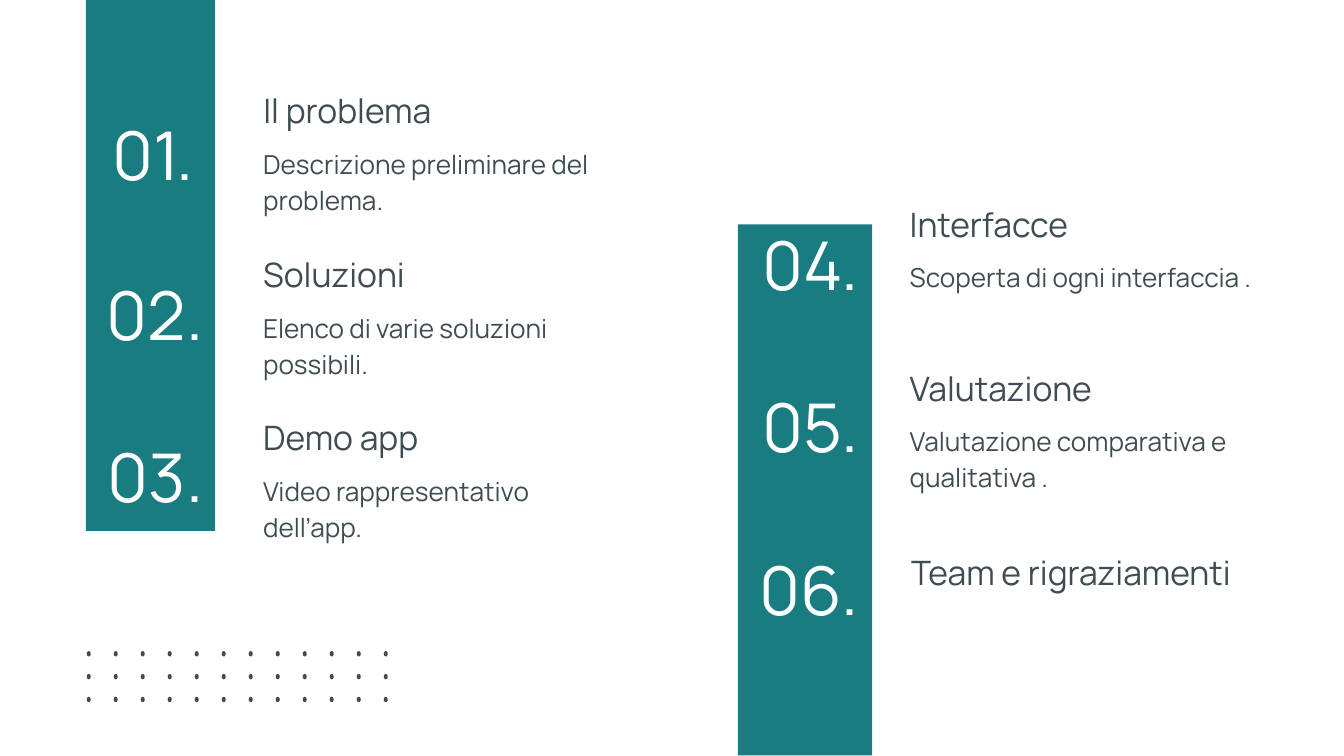
from pptx import Presentation
from pptx.dml.color import RGBColor
from pptx.enum.shapes import MSO_SHAPE
from pptx.enum.text import MSO_ANCHOR, MSO_AUTO_SIZE, PP_ALIGN
from pptx.util import Inches, Pt

TEAL = RGBColor(0x19, 0x7C, 0x81)
SLATE = RGBColor(0x3F, 0x4D, 0x53)
WHITE = RGBColor(0xFF, 0xFF, 0xFF)
FONT = "Manrope"

# Widescreen 16:9 slide
presentation = Presentation()
presentation.slide_width = Inches(10)
presentation.slide_height = Inches(10 * 9 / 16)
slide = presentation.slides.add_slide(presentation.slide_layouts[5])
shapes = slide.shapes


def add_filled(kind, left, top, width, height, color):
    shape = shapes.add_shape(kind, Inches(left), Inches(top), Inches(width), Inches(height))
    shape.shadow.inherit = False
    shape.fill.solid()
    shape.fill.fore_color.rgb = color
    shape.line.fill.background()
    return shape


def write_text(left, top, width, height, text, size, color,
               align=PP_ALIGN.LEFT, anchor=MSO_ANCHOR.TOP, shape=None):
    box = (Inches(left), Inches(top), Inches(width), Inches(height))
    if shape is None:
        shape = shapes.add_textbox(*box)
    else:
        shape.left, shape.top, shape.width, shape.height = box
    frame = shape.text_frame
    frame.word_wrap = True
    frame.auto_size = MSO_AUTO_SIZE.NONE
    frame.vertical_anchor = anchor
    frame.margin_left = frame.margin_right = Inches(0.1)
    frame.margin_top = frame.margin_bottom = Inches(0.1)
    frame.text = text
    paragraph = frame.paragraphs[0]
    paragraph.alignment = align
    paragraph.font.name = FONT
    paragraph.font.size = Pt(size)
    paragraph.font.color.rgb = color
    return paragraph


# Number bands
add_filled(MSO_SHAPE.RECTANGLE, 0.64, 0, 0.96, 3.95, TEAL)
add_filled(MSO_SHAPE.RECTANGLE, 5.49, 1.67, 1, 3.95, TEAL)

# Agenda items: number left and top, text left, heading top, description top and width
items = [
    ("01.", 0.1, 0.95, 1.86, 0.57, 0.97, 2.64,
     "Il problema", "Descrizione preliminare del problema."),
    ("02.", 0.17, 2.14, 1.86, 1.79, 2.19, 2.64,
     "Soluzioni", "Elenco di varie soluzioni possibili."),
    ("03.", 0.17, 3.35, 1.86, 3, 3.4, 2.64,
     "Demo app", "Video rappresentativo dell’app."),
    ("04.", 5.05, 1.77, 6.67, 1.42, 1.81, 2.82,
     "Interfacce", "Scoperta di ogni interfaccia ."),
    ("05.", 5.05, 2.98, 6.67, 2.64, 3.03, 2.91,
     "Valutazione", "Valutazione comparativa e qualitativa ."),
    ("06.", 5.05, 4.19, 6.68, 4.01, None, None, "Team e rigraziamenti", None),
]
title = shapes.title  # holds the first heading
for (number, number_left, number_top, left, heading_top,
     description_top, description_width, heading, description) in items:
    write_text(number_left, number_top, 1.44, 0.59, number, 36, WHITE,
               PP_ALIGN.RIGHT, MSO_ANCHOR.BOTTOM)
    write_text(left, heading_top, 3.01, 0.48, heading, 18, SLATE, shape=title)
    title = None
    if description:
        paragraph = write_text(left, description_top, description_width, 0.48,
                               description, 14, SLATE)
        paragraph.line_spacing = 1.15
        paragraph.space_after = Pt(16)

# Dot grid
COLUMNS, ROWS = 12, 3
COLUMN_STEP = 2.21 / (COLUMNS - 1)
ROW_STEP = 0.17
for row in range(ROWS):
    for column in range(COLUMNS):
        dot = add_filled(MSO_SHAPE.OVAL, 0.64 + column * COLUMN_STEP,
                         4.85 + row * ROW_STEP, 0.04, 0.03, SLATE)
        dot.rotation = 90

presentation.save("out.pptx")
